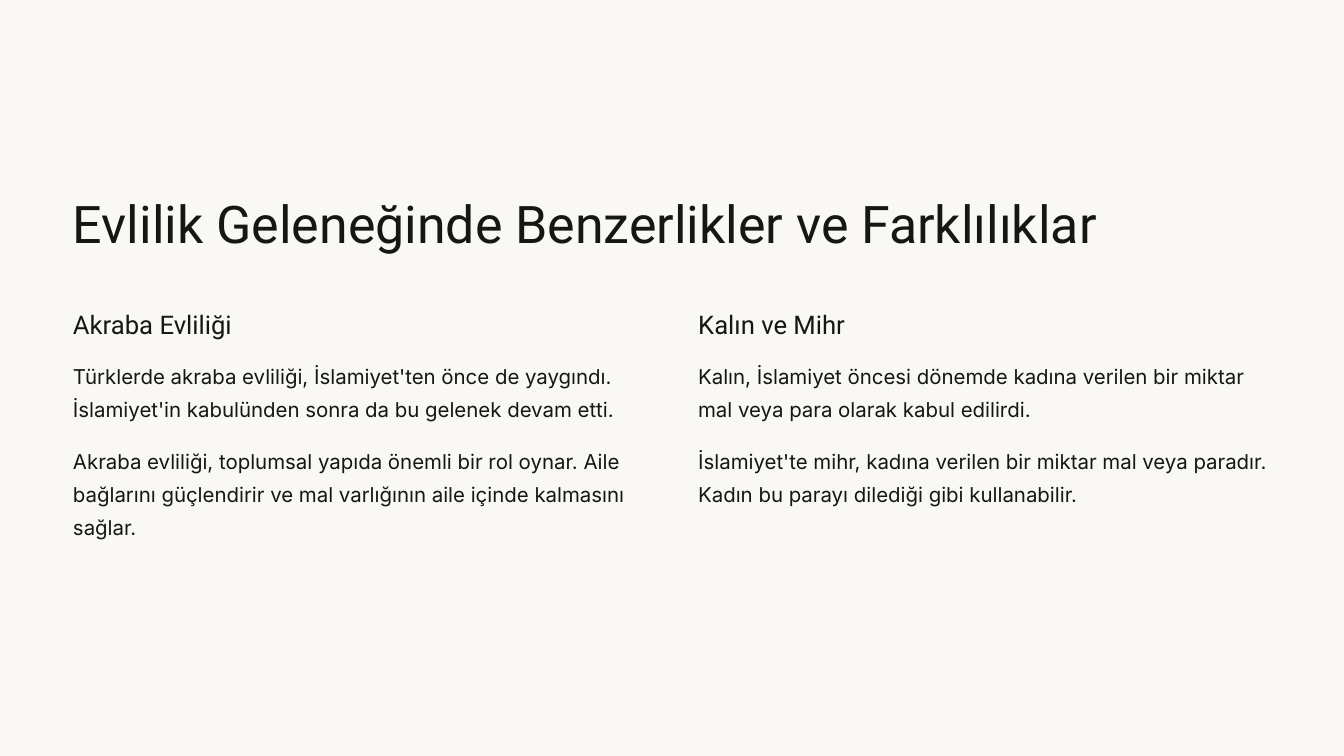
from pptx import Presentation
from pptx.dml.color import RGBColor
from pptx.enum.shapes import MSO_SHAPE
from pptx.enum.text import MSO_AUTO_SIZE
from pptx.util import Cm, Pt

FIT = MSO_AUTO_SIZE.SHAPE_TO_FIT_TEXT
RECT = MSO_SHAPE.RECTANGLE
INK = "161613"
PAPER = "F9F8F5"
LEFT = 2.76
STEP = 23.63


def color(code):
    return RGBColor.from_string(code)


def add_text(text, left, top, width, height, font, size, line):
    box = slide.shapes.add_textbox(Cm(left), Cm(top), Cm(width), Cm(height))
    frame = box.text_frame
    frame.word_wrap = True
    frame.auto_size = FIT
    frame.margin_left = frame.margin_right = 0
    frame.margin_top = frame.margin_bottom = 0
    para = frame.paragraphs[0]
    para.line_spacing = Pt(line)
    run = para.add_run()
    run.text = text
    run.font.name = font
    run.font.size = Pt(size)
    run.font.color.rgb = color(INK)


deck = Presentation()
deck.slide_width = Cm(50.8)
deck.slide_height = Cm(28.58)
slide = deck.slides.add_slide(deck.slide_layouts[6])

sheet = slide.shapes.add_shape(RECT, 0, 0, deck.slide_width, deck.slide_height)
sheet.shadow.inherit = False
sheet.fill.solid()
sheet.fill.fore_color.rgb = color(PAPER)
sheet.line.fill.background()

add_text("Evlilik Geleneğinde Benzerlikler ve Farklılıklar",
         LEFT, 7.16, 40.77, 2.51, "Roboto", 55.6, 69.4)

columns = [
    ("Akraba Evliliği", [
        ("Türklerde akraba evliliği, İslamiyet'ten önce de yaygındı. "
         "İslamiyet'in kabulünden sonra da bu gelenek devam etti.", 2.77),
        ("Akraba evliliği, toplumsal yapıda önemli bir rol oynar. "
         "Aile bağlarını güçlendirir ve mal varlığının aile içinde "
         "kalmasını sağlar.", 4.01),
    ]),
    ("Kalın ve Mihr", [
        ("Kalın, İslamiyet öncesi dönemde kadına verilen bir miktar "
         "mal veya para olarak kabul edilirdi.", 2.77),
        ("İslamiyet'te mihr, kadına verilen bir miktar mal veya paradır. "
         "Kadın bu parayı dilediği gibi kullanabilir.", 2.77),
    ]),
]

for col, (head, notes) in enumerate(columns):
    left = LEFT + col * STEP
    add_text(head, left, 11.61, 9.86, 1.24, "Roboto", 27.5, 34.4)
    for row, (note, height) in enumerate(notes):
        add_text(note, left, 13.42 + row * 3.22, 21.69, height,
                 "Inter", 21.85, 35.6)

deck.save("out.pptx")
